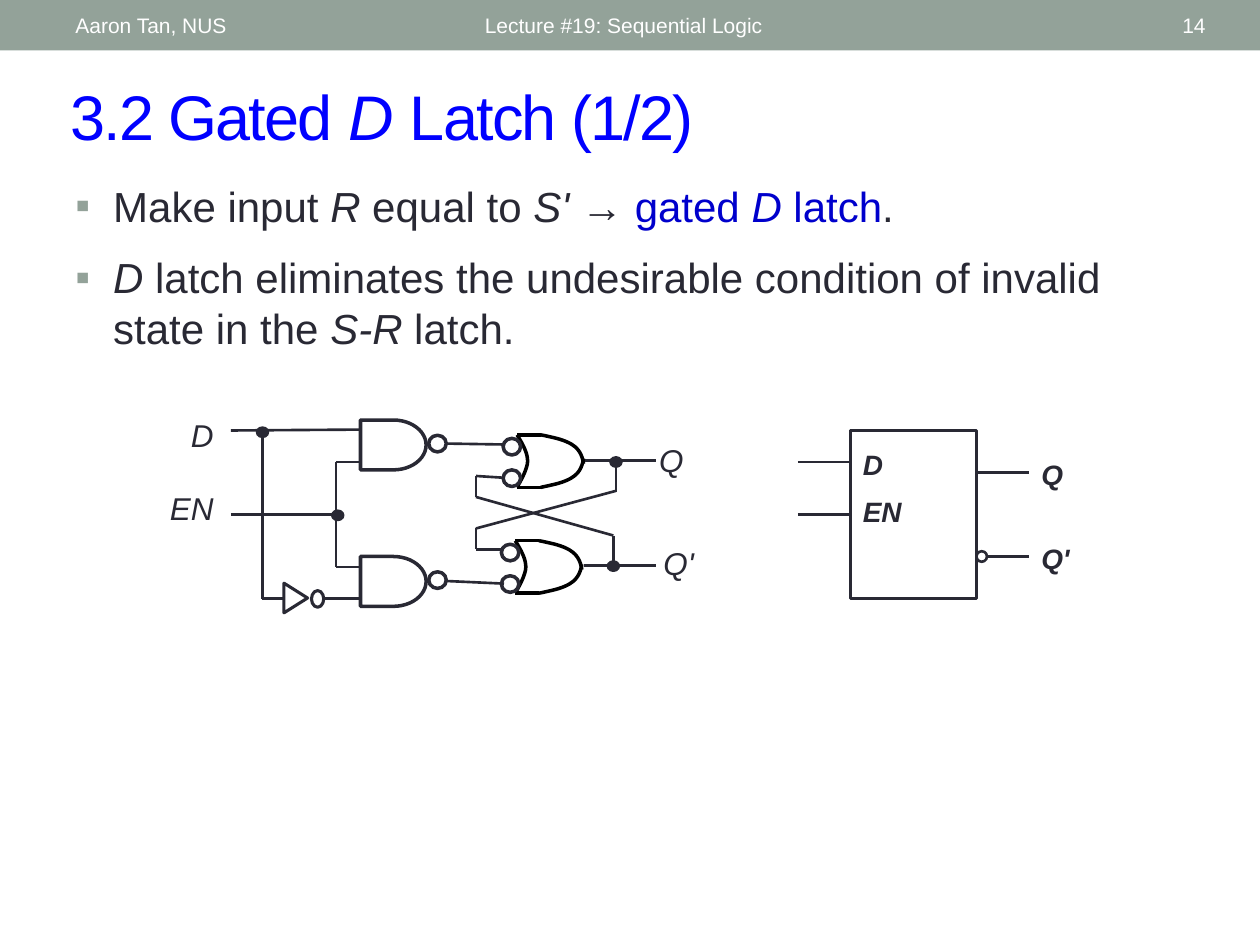
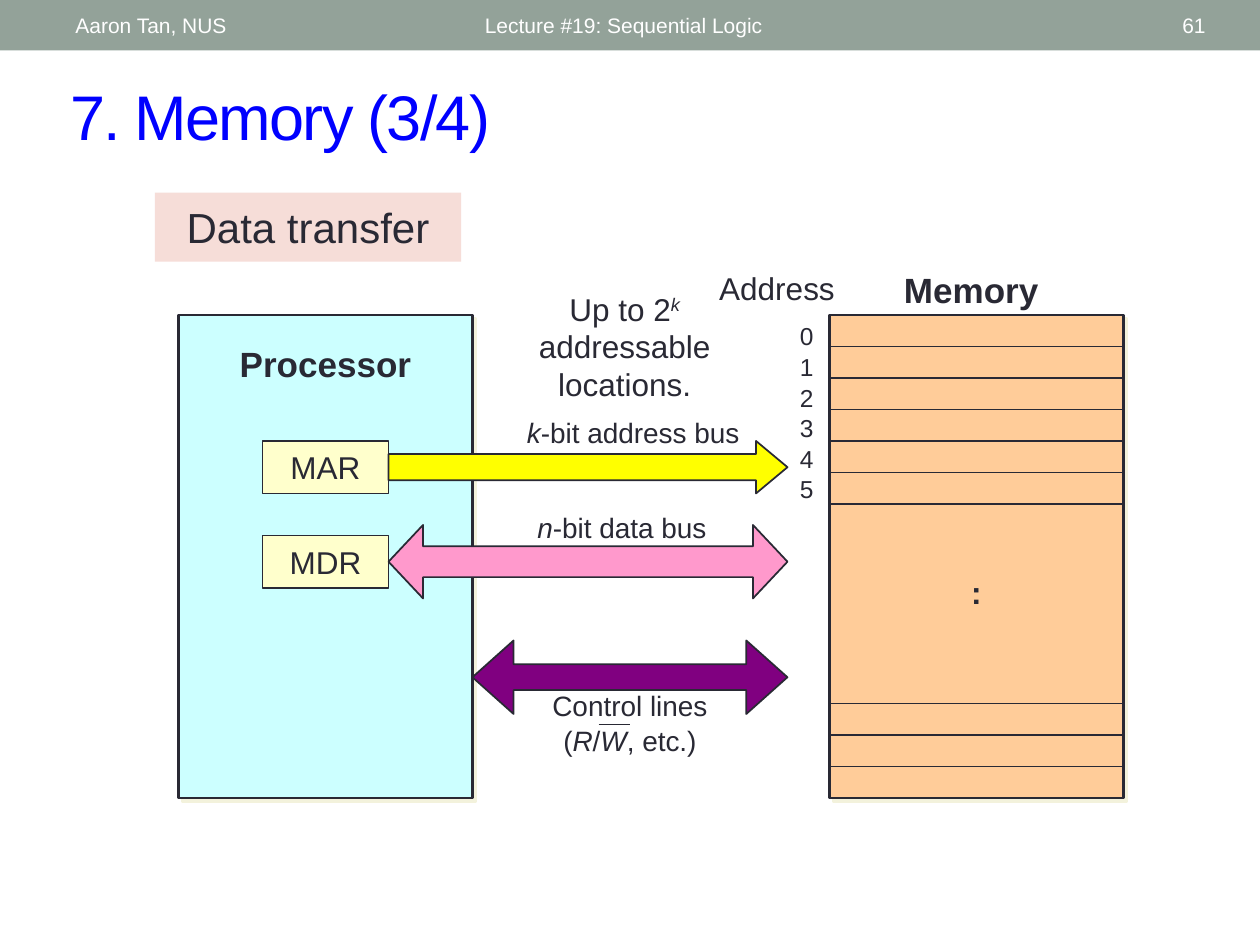
"""Build two lecture slides: a gated D latch circuit and processor-memory data transfer."""
from lxml import etree
from pptx import Presentation
from pptx.dml.color import RGBColor
from pptx.enum.shapes import MSO_CONNECTOR, MSO_SHAPE
from pptx.enum.text import MSO_ANCHOR, PP_ALIGN
from pptx.oxml.ns import qn
from pptx.util import Pt

INK = RGBColor(0x29, 0x29, 0x34)
BLACK = RGBColor(0, 0, 0)
WHITE = RGBColor(255, 255, 255)
SAGE = RGBColor(0x93, 0xA2, 0x99)
TITLE_BLUE = RGBColor(0, 0, 255)
ACCENT_BLUE = RGBColor(0, 0, 0xCC)
ROSE = RGBColor(0xF6, 0xDD, 0xD8)
CYAN = RGBColor(0xCC, 255, 255)
CREAM = RGBColor(255, 255, 0xCC)
PEACH = RGBColor(255, 0xCC, 0x99)
YELLOW = RGBColor(255, 255, 0)
PINK = RGBColor(255, 0x99, 0xCC)
PURPLE = RGBColor(0x80, 0, 0x80)
SHADOW_HEX = "F3F2DC"
FONT = "Arial"

LEFT, CENTER, RIGHT = PP_ALIGN.LEFT, PP_ALIGN.CENTER, PP_ALIGN.RIGHT
TOP, MIDDLE = MSO_ANCHOR.TOP, MSO_ANCHOR.MIDDLE
RECT, OVAL = MSO_SHAPE.RECTANGLE, MSO_SHAPE.OVAL
DELAY, EXTRACT = MSO_SHAPE.FLOWCHART_DELAY, MSO_SHAPE.FLOWCHART_EXTRACT
RIGHT_ARROW, DOUBLE_ARROW = MSO_SHAPE.RIGHT_ARROW, MSO_SHAPE.LEFT_RIGHT_ARROW
STRAIGHT = MSO_CONNECTOR.STRAIGHT

LECTURER = "Aaron Tan, NUS"
LECTURE = "Lecture #19: Sequential Logic"

# In all wording, *...* is italic, ~...~ is accented and ^...^ is superscript.
LATCH_POINTS = [
    "Make input *R* equal to *S' *→ ~gated *D* latch~.",
    "*D* latch eliminates the undesirable condition of invalid state in the *S-R* latch.",
]
CIRCUIT_LABELS = [("D", 102, 234), ("EN", 90, 276), ("Q", 369.5, 248.5), ("Q'", 372, 307.5)]
SYMBOL_LABELS = [(["*D*", "*EN*"], 486, 252), (["*Q*"], 588, 258), (["*Q'*"], 588, 306)]
SYMBOL_WIRES = [(456, 264, 486, 264), (558, 270, 588, 270), (564, 318, 588, 318)]
INPUT_WIRES = [
    (132, 246, 205.5, 245.5), (186, 342, 205.5, 342), (192, 264, 205.5, 264),
    (192, 324, 205.5, 324), (192, 264, 192, 324), (132, 294, 192, 294),
    (150, 246, 150, 342), (150, 342, 162, 342),
]
LATCH_WIRES = [
    (255.5, 253.5, 287.5, 254), (255, 332, 288, 333.5),
    (272, 272, 287.5, 273), (272, 314, 286.5, 314),
    (272, 272, 272, 284), (272, 302, 272, 314),
    (333.5, 263, 375, 263), (333.5, 323, 375, 323),
    (350.5, 306, 350.5, 324), (352, 263.5, 352, 281),
    (272, 284, 350.5, 306), (352, 280.5, 272, 302),
]
JUNCTIONS = [(150, 247), (193, 294.5), (352, 264), (350.5, 323.5)]
NAND_GATES = [(206, 240), (206, 318)]
OR_GATES = [(295.5, 248.5), (294.5, 309)]
OR_HEIGHT = 30
OR_BACK = [(0, 0), (3, 5), (6, 10), (6, 15), (6, 20), (1, 28), (0, 30)]
OR_FRONT = [(13.5, 0), (21, 1.5), (28, 3), (32, 6), (36, 8.5), (37.5, 13), (38, 16.5)]

ADDRESSES = ["0", "1", "2", "3", "4", "5"]
REGISTERS = [("MAR", 252), ("MDR", 306)]
BUS_ARROWS = [
    (RIGHT_ARROW, (222, 252, 228, 30), YELLOW, (0.5, 0.6)),
    (DOUBLE_ARROW, (222, 300, 228, 42), PINK, (0.42, 0.47)),
    (DOUBLE_ARROW, (270, 366, 180, 42), PURPLE, (0.35, 0.56)),
]
MEMORY_TEXTS = [
    (["Address"], (402, 150, 84, 29), 18, False, CENTER, 0),
    (["*k*-bit address bus"], (294, 234, 138, 26), 16, False, LEFT, 0),
    (ADDRESSES, (450, 180, 24, 112), 14, False, LEFT, 0.05),
    (["Processor"], (129, 192, 114, 31), 20, True, CENTER, 0),
    (["Memory"], (498, 150, 114, 31), 20, True, CENTER, 0),
    ([":"], (540, 324, 36, 29), 18, True, CENTER, 0),
    (["*n*-bit data bus"], (300, 288, 120, 26), 16, False, LEFT, 0),
    (["Control lines", "(*R*/*W*, etc.)"], (306, 390, 108, 47), 16, False, CENTER, 0.05),
    (["Up to 2^*k*^ addressable locations."], (282, 162, 150, 72), 18, False, CENTER, 0),
]


def points(*values):
    return [Pt(value) for value in values]


def write(frame, lines, size, color=INK, bold=False, align=LEFT, gap=0, anchor=TOP):
    frame.word_wrap = True
    frame.vertical_anchor = anchor
    for index, line in enumerate(lines):
        para = frame.add_paragraph() if index else frame.paragraphs[0]
        para.alignment = align
        para.space_before = Pt(size * gap if index else 0)
        marks = {"*": False, "~": False, "^": False}
        for mark in marks:
            line = line.replace(mark, f"\n{mark}\n")
        for piece in line.split("\n"):
            if piece in marks:
                marks[piece] = not marks[piece]
            elif piece:
                span = para.add_run()
                span.text = piece
                font = span.font
                font.name, font.size, font.bold = FONT, Pt(size), bold
                font.italic = marks["*"]
                font.color.rgb = ACCENT_BLUE if marks["~"] else color
                if marks["^"]:
                    span._r.get_or_add_rPr().set("baseline", "30000")


def add_text(page, lines, place, size, **style):
    box = page.shapes.add_textbox(*points(*place))
    write(box.text_frame, lines, size, **style)
    return box


def paint(shape, fill=None, line=INK, width=1.5):
    shape.shadow.inherit = False
    if fill is None:
        shape.fill.background()
    else:
        shape.fill.solid()
        shape.fill.fore_color.rgb = fill
    if line is None:
        shape.line.fill.background()
    else:
        shape.line.color.rgb = line
        shape.line.width = Pt(width)


def add_shape(page, kind, place, fill=None, line=INK, width=1.5):
    shape = page.shapes.add_shape(kind, *points(*place))
    paint(shape, fill, line, width)
    return shape


def add_line(page, ends, color=INK, width=1.5):
    line = page.shapes.add_connector(STRAIGHT, *points(*ends))
    line.line.color.rgb = color
    line.line.width = Pt(width)
    etree.SubElement(line._element.spPr, qn("a:effectLst"))
    return line


def add_bullets(box):
    for para in box.text_frame.paragraphs:
        props = para._p.get_or_add_pPr()
        props.set("marL", str(Pt(21.6)))
        props.set("indent", str(-Pt(21.6)))
        color = etree.SubElement(props, qn("a:buClr"))
        etree.SubElement(color, qn("a:srgbClr"), val=str(SAGE))
        etree.SubElement(props, qn("a:buFont"), typeface=FONT)
        etree.SubElement(props, qn("a:buChar"), char="▪")


def add_drop_shadow(shape):
    effects = shape._element.spPr.find(qn("a:effectLst"))
    shadow = etree.SubElement(effects, qn("a:outerShdw"), dist=str(Pt(2.8)),
                              dir="2700000", algn="ctr", rotWithShape="0")
    etree.SubElement(shadow, qn("a:srgbClr"), val=SHADOW_HEX)


def bezier(controls, steps=10):
    """Return points along a chain of cubic curves."""
    path = [controls[0]]
    for start in range(0, len(controls) - 1, 3):
        a, b, c, d = controls[start:start + 4]
        for step in range(1, steps + 1):
            t = step / steps
            u = 1 - t
            path.append(tuple(
                u ** 3 * a[k] + 3 * u * u * t * b[k] + 3 * u * t * t * c[k] + t ** 3 * d[k]
                for k in (0, 1)))
    return path


def add_curve(page, left, top, controls):
    path = [points(left + x, top + y) for x, y in bezier(controls)]
    builder = page.shapes.build_freeform(*path[0])
    builder.add_line_segments(path[1:], close=False)
    paint(builder.convert_to_shape(), line=BLACK, width=2)


def add_or_gate(page, left, top):
    lower_front = [(x, OR_HEIGHT - y) for x, y in OR_FRONT]
    for controls in (OR_BACK, OR_FRONT, lower_front):
        add_curve(page, left, top, controls)
    for edge in (top, top + OR_HEIGHT):
        add_line(page, (left, edge, left + 13.5, edge), BLACK, 2)
    for offset in (2, 20):
        add_shape(page, OVAL, (left - 8, top + offset, 10, 9.5), width=2)


def add_page(deck, title, number):
    page = deck.slides.add_slide(deck.slide_layouts[6])
    add_shape(page, RECT, (0, 0, 720, 28.8), SAGE, None)
    box = add_text(page, [title], (33, 41, 667, 50), 36, color=TITLE_BLUE, anchor=MIDDLE)
    for span in box.text_frame.paragraphs[0].runs:
        span._r.get_or_add_rPr().set("spc", "-100")
    for text, left, width, align in [(LECTURE, 270, 324, LEFT), (number, 628, 68, RIGHT),
                                     (LECTURER, 36, 228, LEFT)]:
        add_text(page, [text], (left, 1.5, width, 26), 12, color=WHITE,
                 align=align, anchor=MIDDLE)
    return page


def build_latch(deck):
    page = add_page(deck, "3.2 Gated *D* Latch (1/2)", "14")
    add_bullets(add_text(page, LATCH_POINTS, (36, 99.5, 648, 116.5), 24, gap=0.5))

    block = add_shape(page, RECT, (486, 246, 72, 96), width=2)
    add_line(page, (456, 294, 486, 294)).end_connect(block, 1)
    add_shape(page, OVAL, (558, 315, 6, 6))
    for lines, left, top in SYMBOL_LABELS:
        add_text(page, lines, (left, top, 42, 28 * len(lines)), 16, bold=True, gap=0.5)

    for wire in SYMBOL_WIRES + LATCH_WIRES + INPUT_WIRES:
        add_line(page, wire)
    for x, y in JUNCTIONS:
        add_shape(page, OVAL, (x - 3.5, y - 3, 7, 6), INK, width=0.75)
    for left, top in NAND_GATES:
        add_shape(page, DELAY, (left, top, 37.5, 28.5), width=2)
        add_shape(page, OVAL, (left + 39, top + 8.75, 10, 9.5), width=2)
    for left, top in OR_GATES:
        add_or_gate(page, left, top)
    inverter = add_shape(page, EXTRACT, (160.5, 335, 17, 13.5), width=1.75)
    inverter.rotation = 90
    add_shape(page, OVAL, (178, 337.5, 7, 9.5), width=1.75)
    for text, left, top in CIRCUIT_LABELS:
        add_text(page, [f"*{text}*"], (left, top, 43, 29), 18)


def build_memory(deck):
    page = add_page(deck, "7. Memory (3/4)", "61")
    heading = add_shape(page, RECT, (88.5, 110, 175, 39.5), ROSE, None)
    write(heading.text_frame, ["Data transfer"], 24, align=CENTER, anchor=MIDDLE)

    for left, fill in [(102, CYAN), (474, PEACH)]:
        add_drop_shadow(add_shape(page, RECT, (left, 180, 168, 276), fill))
    for name, top in REGISTERS:
        register = add_shape(page, RECT, (150, top, 72, 30), CREAM, width=1)
        write(register.text_frame, [name], 18, align=CENTER, anchor=MIDDLE)
    for y in [*range(198, 289, 18), *range(402, 439, 18)]:
        add_line(page, (474, y, 642, y), width=1)
    for kind, place, fill, ratios in BUS_ARROWS:
        arrow = add_shape(page, kind, place, fill, width=1)
        for index, ratio in enumerate(ratios):
            arrow.adjustments[index] = ratio
    for lines, place, size, bold, align, gap in MEMORY_TEXTS:
        add_text(page, lines, place, size, bold=bold, align=align, gap=gap)
    add_line(page, (342, 414, 360, 414), width=1)


def main():
    deck = Presentation()
    deck.slide_width, deck.slide_height = points(720, 540)
    build_latch(deck)
    build_memory(deck)
    deck.save("out.pptx")


if __name__ == "__main__":
    main()
